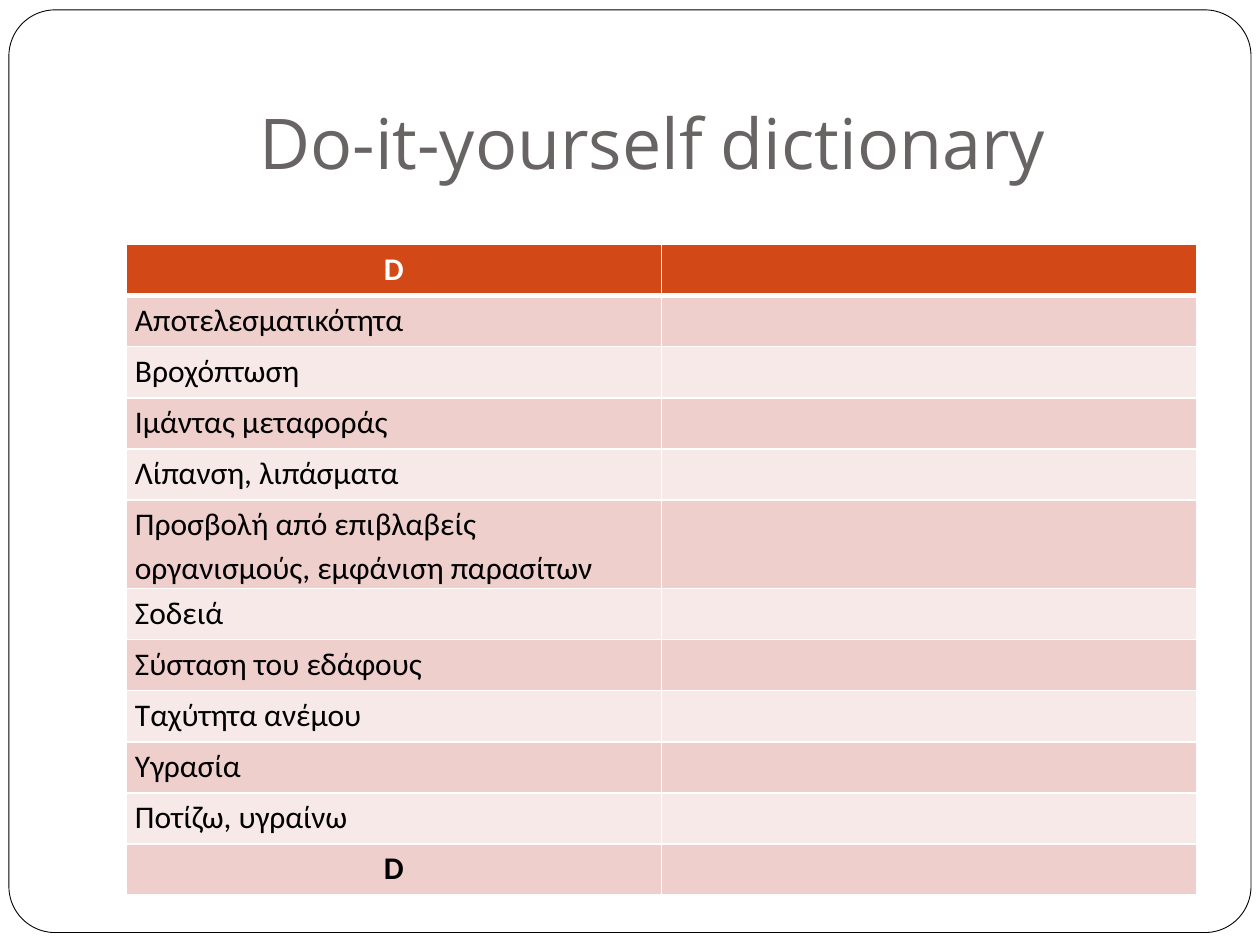
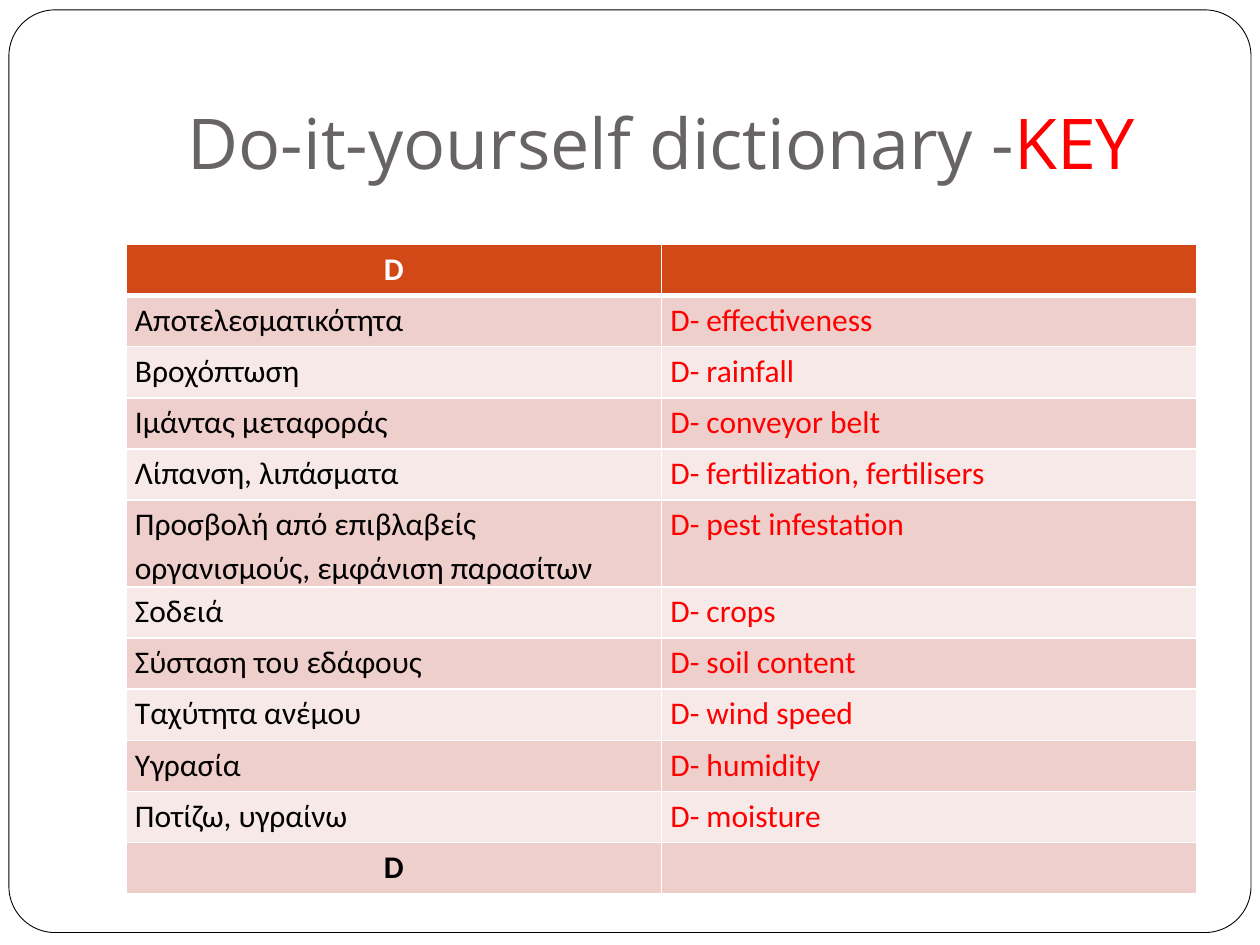
from lxml import etree
from pptx import Presentation
from pptx import util as u
from pptx.dml.color import RGBColor
from pptx.enum import shapes, text
from pptx.oxml.ns import qn

WHITE = RGBColor(0xFF, 0xFF, 0xFF)
BLACK = RGBColor(0, 0, 0)
GREY = RGBColor(0x69, 0x64, 0x64)
RED = RGBColor(0xFF, 0, 0)
ORANGE = RGBColor(0xD3, 0x48, 0x17)
BANDS = RGBColor(0xEF, 0xCF, 0xCC), RGBColor(0xF7, 0xE9, 0xE8)

FRAME_BOX = u.Cm(0.18), u.Cm(0.2), u.Cm(25.04), u.Cm(18.6)
TITLE_BOX = u.Cm(2.54), u.Cm(0.76), u.Cm(21.59), u.Cm(3.18)
TABLE_BOX = u.Cm(2.54), u.Cm(4.93), u.Cm(21.59), u.Cm(12.36)

TITLE = "Do-it-yourself dictionary "
LETTER = "D"
ENTRIES = [
    ("Αποτελεσματικότητα", "effectiveness"),
    ("Βροχόπτωση", "rainfall"),
    ("Ιμάντας μεταφοράς", "conveyor belt"),
    ("Λίπανση, λιπάσματα", "fertilization, fertilisers"),
    ("Προσβολή από επιβλαβείς οργανισμούς, εμφάνιση παρασίτων",
     "pest infestation"),
    ("Σοδειά", "crops"),
    ("Σύσταση του εδάφους", "soil content"),
    ("Ταχύτητα ανέμου", "wind speed"),
    ("Υγρασία", "humidity"),
    ("Ποτίζω, υγραίνω", "moisture"),
]


def add_frame(s, box):
    sp = s.shapes.add_shape(shapes.MSO_SHAPE.ROUNDED_RECTANGLE, *box)
    sp.adjustments[0] = 0.05
    sp.shadow.inherit = False
    sp.fill.solid()
    sp.fill.fore_color.rgb = WHITE
    sp.line.color.rgb = BLACK
    sp.line.width = u.Pt(0.5)


def add_title(s, box, has_key):
    tf = s.shapes.add_textbox(*box).text_frame
    tf.word_wrap = True
    tf.vertical_anchor = text.MSO_ANCHOR.BOTTOM
    tf.margin_bottom = u.Cm(0.25)
    p = tf.paragraphs[0]
    p.alignment = text.PP_ALIGN.CENTER
    p.font.name = "Open Sans"
    p.font.size = u.Pt(40)
    p.font.color.rgb = GREY
    p.add_run().text = TITLE + "-" * has_key
    if has_key:
        r = p.add_run()
        r.text = "KEY"
        r.font.color.rgb = RED


def set_borders(cell, top, bottom):
    """Draw white cell borders; top and bottom are widths in points."""
    tcPr = cell._tc.get_or_add_tcPr()
    widths = {"a:lnL": 1, "a:lnR": 1, "a:lnT": top, "a:lnB": bottom}
    for i, (tag, width) in enumerate(widths.items()):
        ln = etree.Element(qn(tag), w=str(u.Pt(width)))
        fill = etree.SubElement(ln, qn("a:solidFill"))
        etree.SubElement(fill, qn("a:srgbClr"), val=str(WHITE))
        tcPr.insert(i, ln)


def fill_cell(cell, words, fill, color, is_letter):
    cell.fill.solid()
    cell.fill.fore_color.rgb = fill
    cell.margin_left = cell.margin_right = u.Cm(0.18)
    cell.margin_top = cell.margin_bottom = 0
    p = cell.text_frame.paragraphs[0]
    p.text = words
    p.line_spacing = 1.15
    p.alignment = text.PP_ALIGN.CENTER if is_letter else text.PP_ALIGN.LEFT
    p.font.name = "Calibri"
    p.font.size = u.Pt(18)
    p.font.bold = is_letter
    p.font.color.rgb = color


def add_dictionary(s, box, has_key):
    answers = [(greek, f"{LETTER}- {english}" if has_key else "")
               for greek, english in ENTRIES]
    rows = [(LETTER, ""), *answers, (LETTER, "")]
    table = s.shapes.add_table(len(rows), 2, *box).table
    for i, row in enumerate(rows):
        table.rows[i].height = u.Cm(1.03)
        is_header = i == 0
        is_letter = i in (0, len(rows) - 1)
        fill = ORANGE if is_header else BANDS[(i - 1) % 2]
        for j, words in enumerate(row):
            color = WHITE if is_header else (BLACK, RED)[j]
            cell = table.cell(i, j)
            fill_cell(cell, words, fill, color, is_letter)
            set_borders(cell, top=3 if i == 1 else 1,
                        bottom=3 if is_header else 1)


def add_dictionary_slide(prs, has_key):
    s = prs.slides.add_slide(prs.slide_layouts[6])
    add_frame(s, FRAME_BOX)
    add_dictionary(s, TABLE_BOX, has_key)
    add_title(s, TITLE_BOX, has_key)


def main():
    prs = Presentation()
    prs.slide_width, prs.slide_height = u.Cm(25.4), u.Cm(19.05)
    for has_key in (False, True):
        add_dictionary_slide(prs, has_key)
    prs.save("out.pptx")


if __name__ == "__main__":
    main()
